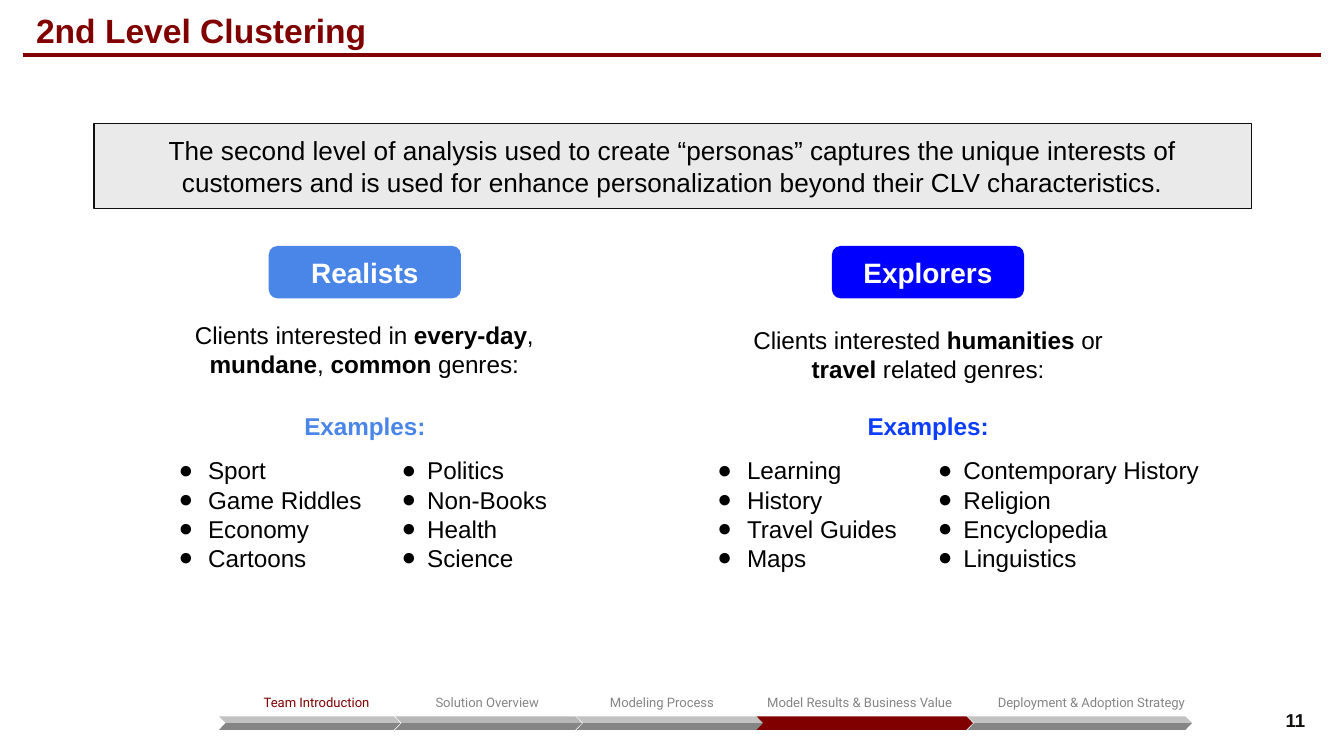
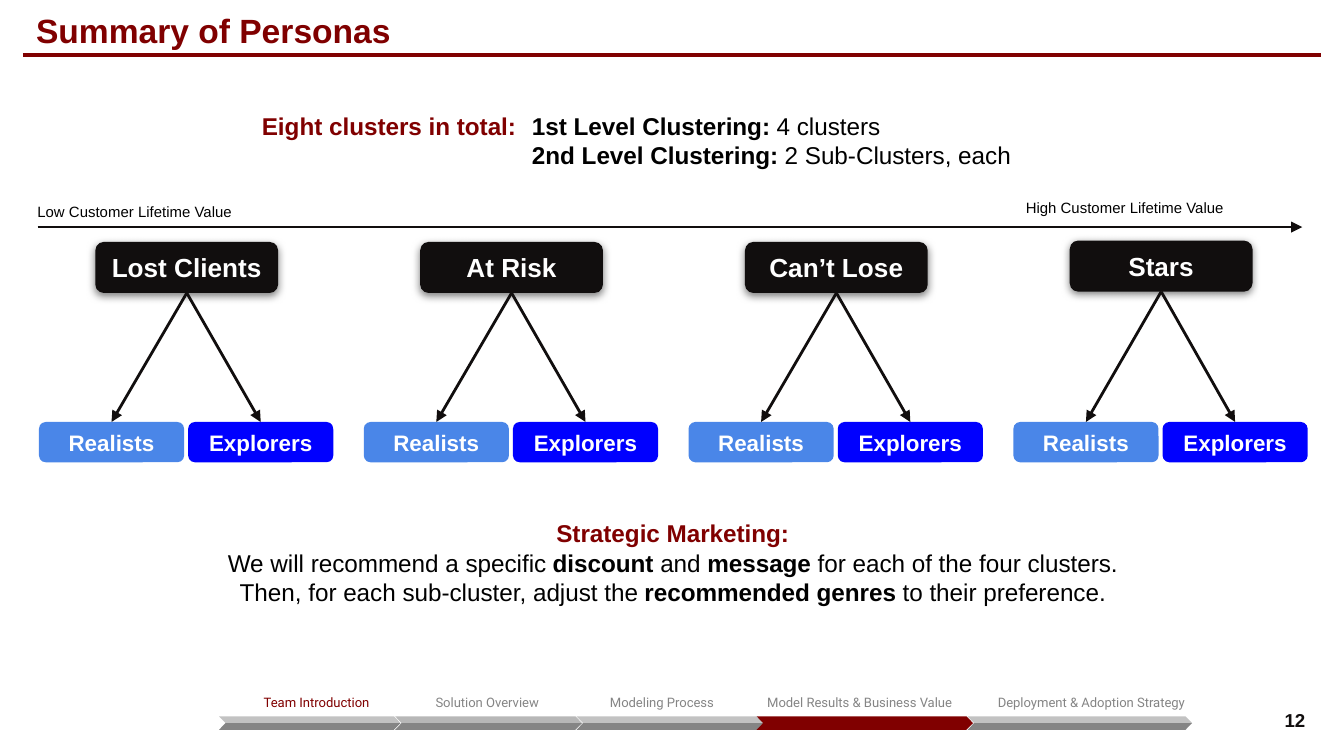
from lxml.etree import SubElement
from pptx import Presentation
from pptx.dml.color import RGBColor
from pptx.enum.shapes import MSO_CONNECTOR, MSO_SHAPE as Shape
from pptx.enum.text import MSO_ANCHOR as Anchor, PP_ALIGN as Align
from pptx.oxml.ns import qn
from pptx.util import Inches, Pt

MAROON = RGBColor(0x80, 0x00, 0x00)
BLACK = RGBColor(0x00, 0x00, 0x00)
INK = RGBColor(0x11, 0x0E, 0x0E)
WHITE = RGBColor(0xFF, 0xFF, 0xFF)
PANEL = RGBColor(0xEA, 0xEA, 0xEA)
REALIST = RGBColor(0x4A, 0x86, 0xE8)
EXPLORER = RGBColor(0x00, 0x00, 0xFF)
EXPLORER_TEXT = RGBColor(0x0D, 0x3D, 0xFF)
GREY = RGBColor(0x85, 0x85, 0x85)
SILVER = RGBColor(0xC2, 0xC2, 0xC2)
MID_SILVER = RGBColor(0xB7, 0xB7, 0xB7)

FONT = "Arial"
STEP_FONT = "Roboto"

STEP_LABELS = [
    ("Team Introduction", 1.71, 1.29, MAROON, Align.CENTER),
    ("Solution Overview", 2.78, 1.69, GREY, Align.CENTER),
    ("Modeling Process", 4.08, 1.69, GREY, Align.CENTER),
    ("Model Results & Business Value", 5.61, 1.88, GREY, Align.LEFT),
    ("Deployment & Adoption Strategy", 7.17, 1.9, GREY, Align.CENTER),
]
STEP_BARS = [
    (1.63, 1.35, SILVER, GREY),
    (2.94, 1.39, MID_SILVER, GREY),
    (4.29, 1.39, SILVER, GREY),
    (5.63, 1.61, MAROON, MAROON),
    (7.2, 1.67, SILVER, GREY),
]
PERSONA_GROUPS = [("Lost Clients", 1.8), ("At Risk", 1.8), ("Can’t Lose", 1.8), ("Stars", 1.79)]


def fill_text(shape, lines, size, color, align=Align.LEFT, bold=False,
              anchor=Anchor.TOP, inset=0.1, font=FONT):
    """Write the lines; words between ** marks are bold."""
    frame = shape.text_frame
    frame.word_wrap = True
    frame.vertical_anchor = anchor
    frame.margin_left = frame.margin_right = Inches(0.1)
    frame.margin_top = frame.margin_bottom = Inches(inset)
    for index, line in enumerate(lines):
        para = frame.add_paragraph() if index else frame.paragraphs[0]
        para.alignment = align
        for part, words in enumerate(line.split("**")):
            if words:
                span = para.add_run()
                span.text = words
                span.font.name = font
                span.font.size = Pt(size)
                span.font.bold = bold or part % 2 == 1
                span.font.color.rgb = color


def add_text(shapes, left, top, width, height, lines, size, color, **style):
    box = shapes.add_textbox(Inches(left), Inches(top), Inches(width), Inches(height))
    fill_text(box, lines, size, color, **style)
    return box


def add_block(shapes, kind, left, top, width, height, fill, line=None):
    block = shapes.add_shape(kind, Inches(left), Inches(top), Inches(width), Inches(height))
    block.fill.solid()
    block.fill.fore_color.rgb = fill
    if line is None:
        block.line.fill.background()
    else:
        block.line.color.rgb = line
        block.line.width = Pt(0.75)
    block.shadow.inherit = False
    return block


def add_pill(page, left, top, width, height, label, size, fill):
    pill = add_block(page.shapes, Shape.ROUNDED_RECTANGLE, left, top, width, height, fill)
    fill_text(pill, [label], size, WHITE, align=Align.CENTER, bold=True, anchor=Anchor.MIDDLE)
    return pill


def add_drop_shadow(shape):
    effects = shape._element.spPr.find(qn("a:effectLst"))
    shadow = SubElement(effects, qn("a:outerShdw"), blurRad=str(Pt(4.5)), dist=str(Pt(1.5)),
                        dir="5400000", algn="bl", rotWithShape="0")
    color = SubElement(shadow, qn("a:srgbClr"), val=str(BLACK))
    SubElement(color, qn("a:alpha"), val="50000")


def add_line(page, start, end, color, width, arrow=False):
    points = [Inches(value) for value in (*start, *end)]
    line = page.shapes.add_connector(MSO_CONNECTOR.STRAIGHT, *points)
    line.line.color.rgb = color
    line.line.width = Pt(width)
    if arrow:
        SubElement(line.line._get_or_add_ln(), qn("a:tailEnd"), type="triangle")
    SubElement(line._element.spPr, qn("a:effectLst"))
    return line


def add_bullets(page, left, width, items, indent, height=0.99):
    box = add_text(page.shapes, left, 3.29, width, height, items, 13, BLACK)
    for para in box.text_frame.paragraphs:
        settings = para._p.get_or_add_pPr()
        settings.set("marL", str(Inches(indent)))
        settings.set("indent", str(Inches(-0.22)))
        color = SubElement(settings, qn("a:buClr"))
        SubElement(color, qn("a:srgbClr"), val=str(BLACK))
        SubElement(settings, qn("a:buSzPts"), val="1300")
        SubElement(settings, qn("a:buFont"), typeface=FONT)
        SubElement(settings, qn("a:buChar"), char="●")


def add_progress(page):
    shapes = page.shapes.add_group_shape().shapes
    for left, width, upper, lower in STEP_BARS:
        for top, fill in ((5.33, upper), (5.38, lower)):
            bar = add_block(shapes, Shape.PARALLELOGRAM, left, top, width, 0.05, fill)
            bar.adjustments[0] = 0.97
            if top == 5.33:
                bar._element.spPr.find(qn("a:xfrm")).set("flipH", "1")
    for label, left, width, color, align in STEP_LABELS:
        box = add_text(shapes, left, 5.08, width, 0.26, [label], 7, color,
                       align=align, font=STEP_FONT)
        box.text_frame.paragraphs[0].line_spacing = 1.15


def add_page(deck, title, number):
    page = deck.slides.add_slide(deck.slide_layouts[6])
    add_line(page, (0.17, 0.41), (9.83, 0.41), MAROON, 2)
    add_text(page.shapes, 0.17, -0.18, 9.66, 0.6, [title], 18, MAROON,
             bold=True, anchor=Anchor.BOTTOM, inset=0.05)
    add_text(page.shapes, 9.25, 5.21, 0.56, 0.3, [str(number)], 10, INK,
             align=Align.RIGHT, bold=True, anchor=Anchor.MIDDLE, inset=0.05)
    add_progress(page)
    return page


def add_persona(page, left, name, fill, accent):
    add_pill(page, left, 1.83, 1.43, 0.39, name, 15, fill)
    add_text(page.shapes, left - 0.24, 2.96, 1.91, 0.42, ["Examples:"], 13, accent,
             align=Align.CENTER, bold=True)


def build_clustering(deck):
    page = add_page(deck, "2nd Level Clustering", 11)
    panel = add_block(page.shapes, Shape.RECTANGLE, 0.7, 0.92, 8.61, 0.63, PANEL, INK)
    fill_text(panel, ["The second level of analysis used to create “personas” captures the unique "
                      "interests of customers and is used for enhance personalization beyond "
                      "their CLV characteristics."],
              14, BLACK, align=Align.CENTER, anchor=Anchor.MIDDLE)

    add_persona(page, 2, "Realists", REALIST, REALIST)
    add_text(page.shapes, 1, 2.28, 3.42, 0.68,
             ["Clients interested in **every-day**,** mundane**, **common **genres:"],
             13, BLACK, align=Align.CENTER)
    add_bullets(page, 1.2, 1.62, ["Sport", "Game Riddles", "Economy", "Cartoons"], 0.25)
    add_bullets(page, 2.89, 1.29, ["Politics", "Non-Books", "Health", "Science"], 0.19, 1.06)

    add_persona(page, 6.19, "Explorers", EXPLORER, EXPLORER_TEXT)
    add_text(page.shapes, 5.35, 2.32, 3.11, 0.6,
             ["Clients interested **humanities** or **travel** related genres:"],
             13, BLACK, align=Align.CENTER)
    add_bullets(page, 5.21, 1.62, ["Learning", "History", "Travel Guides", "Maps"], 0.25)
    add_bullets(page, 6.88, 2.37,
                ["Contemporary History", "Religion", "Encyclopedia", "Linguistics"], 0.19)


def add_cluster(page, left, top, name):
    parent = add_pill(page, left + 0.42, top, 1.36, 0.38, name, 14, INK)
    add_drop_shadow(parent)
    for offset, persona, fill in ((0, "Realists", REALIST), (1.11, "Explorers", EXPLORER)):
        child = add_pill(page, left + offset, 3.14, 1.08, 0.3, persona, 12, fill)
        arrow = add_line(page, (left + 1.1, top + 0.38), (left + offset + 0.54, 3.14),
                         INK, 1.5, arrow=True)
        arrow.begin_connect(parent, 2)
        arrow.end_connect(child, 0)


def build_summary(deck):
    page = add_page(deck, "Summary of Personas", 12)
    add_text(page.shapes, 1.85, 0.73, 2.19, 0.38, ["Eight clusters in total:"], 13, MAROON,
             bold=True)
    add_text(page.shapes, 3.86, 0.73, 4.28, 0.6,
             ["**1st Level Clustering: **4 clusters",
              "**2nd Level Clustering: **2 Sub-Clusters, each"], 13, BLACK)

    add_line(page, (0.28, 1.69), (9.69, 1.69), INK, 1.5, arrow=True)
    add_text(page.shapes, 0.18, 1.44, 2.63, 0.27, ["Low Customer Lifetime Value"], 8, BLACK,
             anchor=Anchor.MIDDLE)
    add_text(page.shapes, 7.01, 1.41, 2.72, 0.27, ["High Customer Lifetime Value"], 8, BLACK,
             align=Align.CENTER, anchor=Anchor.MIDDLE)

    pitch = 7.25 / 3
    for index, (name, top) in enumerate(PERSONA_GROUPS):
        add_cluster(page, 0.29 + index * pitch, top, name)

    strategy = add_text(page.shapes, 1.21, 3.76, 7.59, 0.96,
                        ["**Strategic Marketing:**",
                         "We will recommend a specific **discount** and **message** "
                         "for each of the four clusters.",
                         "Then, for each sub-cluster, adjust the **recommended genres** "
                         "to their preference."],
                        13, BLACK, align=Align.CENTER)
    strategy.text_frame.paragraphs[0].runs[0].font.color.rgb = MAROON


def main():
    deck = Presentation()
    deck.slide_width = Inches(10)
    deck.slide_height = Inches(10 * 9 / 16)
    build_clustering(deck)
    build_summary(deck)
    deck.save("out.pptx")


if __name__ == "__main__":
    main()
